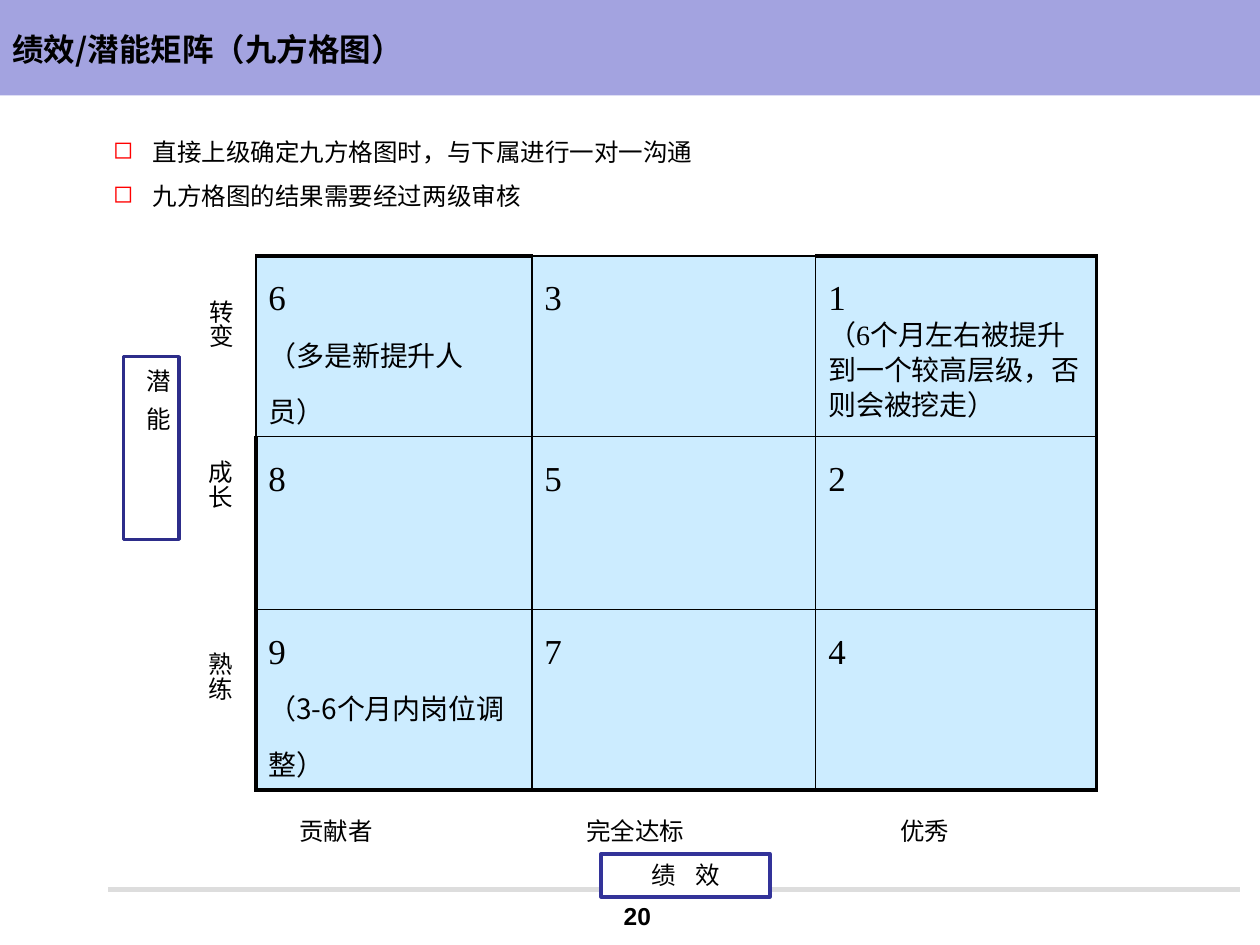
from dataclasses import dataclass

from lxml import etree
from pptx import Presentation
from pptx.dml.color import RGBColor
from pptx.enum.shapes import MSO_CONNECTOR, MSO_SHAPE
from pptx.enum.text import MSO_ANCHOR, MSO_AUTO_SIZE, PP_ALIGN
from pptx.oxml.ns import qn
from pptx.util import Pt

RECTANGLE = MSO_SHAPE.RECTANGLE
STRAIGHT = MSO_CONNECTOR.STRAIGHT
LEFT, CENTER = PP_ALIGN.LEFT, PP_ALIGN.CENTER
TOP, MIDDLE = MSO_ANCHOR.TOP, MSO_ANCHOR.MIDDLE
GROW, FIXED = MSO_AUTO_SIZE.SHAPE_TO_FIT_TEXT, MSO_AUTO_SIZE.NONE

BLACK = RGBColor(0x00, 0x00, 0x00)
WHITE = RGBColor(0xFF, 0xFF, 0xFF)
RED = RGBColor(0xFF, 0x00, 0x00)
LAVENDER = RGBColor(0xA3, 0xA3, 0xE0)
GRAY = RGBColor(0xDD, 0xDD, 0xDD)
SKY = RGBColor(0xCC, 0xEC, 0xFF)
INDIGO = RGBColor(0x33, 0x33, 0x99)
NAVY = RGBColor(0x2D, 0x2D, 0x8A)

SANS, CJK, SERIF = "Arial", "Noto Sans CJK SC", "Times New Roman"
THIN, THICK = 1, 2.25


@dataclass(frozen=True)
class Box:
    left: float
    top: float
    width: float
    height: float

    def lengths(self) -> tuple:
        return Pt(self.left), Pt(self.top), Pt(self.width), Pt(self.height)


@dataclass(frozen=True)
class Label:
    text: str
    box: Box
    vertical: bool = False


@dataclass(frozen=True)
class AxisTitle:
    label: Label
    outline: RGBColor
    spacing: float


@dataclass(frozen=True)
class GridCell:
    number: str
    note: str = ""
    note_leading: float = 32
    note_font: str = SERIF


def write_paragraph(paragraph, text: str, *, size=14, font=SANS, bold=False,
                    align=LEFT, line_spacing=None, bullet="", spacing=0) -> None:
    paragraph.alignment = align
    if line_spacing:
        paragraph.line_spacing = line_spacing
    if bullet:
        properties = paragraph._p.get_or_add_pPr()
        properties.set("marL", str(Pt(22.5)))
        properties.set("indent", str(-Pt(22.5)))
        color = etree.SubElement(properties, qn("a:buClr"))
        etree.SubElement(color, qn("a:srgbClr"), val=str(RED))
        etree.SubElement(properties, qn("a:buChar"), char=bullet)
    run = paragraph.add_run()
    run.text = text
    run.font.size = Pt(size)
    run.font.bold = bold
    run.font.color.rgb = BLACK
    run.font.name = font
    run_properties = run._r.get_or_add_rPr()
    etree.SubElement(run_properties, qn("a:ea"), typeface=CJK)
    if spacing:
        run_properties.set("spc", str(round(spacing * 100)))


def write_text(shape, lines: list[str], *, anchor=TOP, wrap=True, auto_size=GROW,
               vertical=False, **text_format) -> None:
    frame = shape.text_frame
    frame.word_wrap = wrap
    frame.auto_size = auto_size
    frame.vertical_anchor = anchor
    if vertical:
        frame._txBody.bodyPr.set("vert", "eaVert")
    for index, line in enumerate(lines):
        paragraph = frame.add_paragraph() if index else frame.paragraphs[0]
        write_paragraph(paragraph, line, **text_format)


def add_text(slide, box: Box, lines: list[str], **options) -> None:
    write_text(slide.shapes.add_textbox(*box.lengths()), lines, **options)


def add_rectangle(slide, box: Box, fill: RGBColor, outline: RGBColor | None = None):
    shape = slide.shapes.add_shape(RECTANGLE, *box.lengths())
    shape.shadow.inherit = False
    shape.fill.solid()
    shape.fill.fore_color.rgb = fill
    if outline is None:
        shape.line.fill.background()
    else:
        shape.line.color.rgb = outline
        shape.line.width = Pt(2)
    return shape


def set_borders(cell, widths: dict[str, float]) -> None:
    properties = cell._tc.get_or_add_tcPr()
    for index, (side, width) in enumerate(widths.items()):
        line = etree.Element(qn(f"a:ln{side}"), w=str(Pt(width)))
        fill = etree.SubElement(line, qn("a:solidFill"))
        etree.SubElement(fill, qn("a:srgbClr"), val=str(BLACK))
        properties.insert(index, line)


def add_matrix(slide, box: Box, widths: list[float], heights: list[float],
               rows: list[list[GridCell]]) -> None:
    table = slide.shapes.add_table(len(rows), len(widths), *box.lengths()).table
    table.first_row = table.horz_banding = False
    for column, width in zip(table.columns, widths):
        column.width = Pt(width)
    for row, height in zip(table.rows, heights):
        row.height = Pt(height)
    last_row, last_column = len(rows) - 1, len(widths) - 1
    for r, row in enumerate(rows):
        for c, content in enumerate(row):
            cell = table.cell(r, c)
            cell.fill.solid()
            cell.fill.fore_color.rgb = SKY
            # The outer edge is thick, except at two places in the top row
            set_borders(cell, {
                "L": THICK if c == 0 and r > 0 else THIN,
                "R": THICK if c == last_column else THIN,
                "T": THICK if r == 0 and c in (0, last_column) else THIN,
                "B": THICK if r == last_row else THIN,
            })
            write_paragraph(cell.text_frame.paragraphs[0], content.number,
                            size=20, font=SERIF, line_spacing=Pt(32))
            if content.note:
                write_paragraph(cell.text_frame.add_paragraph(), content.note,
                                size=16, font=content.note_font,
                                line_spacing=Pt(content.note_leading))


MATRIX = [
    [GridCell("6", "（多是新提升人员）"), GridCell("3"),
     GridCell("1", "（6个月左右被提升到一个较高层级，否则会被挖走）", 20)],
    [GridCell("8"), GridCell("5"), GridCell("2")],
    [GridCell("9", "（3-6个月内岗位调整）", note_font=CJK), GridCell("7"), GridCell("4")],
]
AXIS_TITLES = [
    AxisTitle(Label("绩 效", Box(343.5, 488, 96.5, 24.5)), INDIGO, 3.9),
    AxisTitle(Label("潜 能", Box(70.6, 203.8, 31.7, 104.4), True), NAVY, 2),
]
LEVELS = [
    Label("贡献者", Box(164, 463, 74, 31)),
    Label("完全达标", Box(328, 463, 94, 31)),
    Label("优秀", Box(507.5, 463, 55, 31)),
    Label("转变", Box(100, 164, 38, 79), True),
    Label("成长", Box(99.5, 256, 38, 79), True),
    Label("熟练", Box(99.5, 365.5, 38, 79), True),
]


def main() -> None:
    presentation = Presentation()
    presentation.slide_width, presentation.slide_height = Pt(720), Pt(540)
    slide = presentation.slides.add_slide(presentation.slide_layouts[6])

    # Header band, footer rule and page number
    add_rectangle(slide, Box(0, 0, 720, 54.5), LAVENDER)
    rule = slide.shapes.add_connector(STRAIGHT, Pt(62), Pt(508.3), Pt(708.5), Pt(508.3))
    rule.line.color.rgb = GRAY
    rule.line.width = Pt(2.75)
    etree.SubElement(rule._element.spPr, qn("a:effectLst"))
    add_text(slide, Box(337.5, 510.5, 53.5, 25), ["20"], bold=True, align=CENTER,
             anchor=MIDDLE, auto_size=FIXED)

    # Nine-box matrix
    add_matrix(slide, Box(146.2, 146.2, 480.4, 305), [157.7, 162.2, 160.5],
               [103.2, 98.8, 103.2], MATRIX)

    # Axis titles and level names
    for title in AXIS_TITLES:
        label = title.label
        shape = add_rectangle(slide, label.box, WHITE, title.outline)
        write_text(shape, [label.text], vertical=label.vertical, align=CENTER,
                   font=CJK if label.vertical else SANS, spacing=title.spacing)
    for label in LEVELS:
        add_text(slide, label.box, [label.text], vertical=label.vertical,
                 wrap=label.vertical, font=CJK if label.vertical else SANS)

    # Review rules and slide title
    add_text(slide, Box(57.6, 66.2, 348.5, 54.7),
             ["直接上级确定九方格图时，与下属进行一对一沟通", "九方格图的结果需要经过两级审核"],
             wrap=False, line_spacing=1.5, bullet="◻")
    add_text(slide, Box(0, 5.8, 696, 44.6), ["绩效/潜能矩阵（九方格图）"], size=18,
             font=CJK, bold=True, anchor=MIDDLE, auto_size=FIXED)

    presentation.save("out.pptx")


if __name__ == "__main__":
    main()
